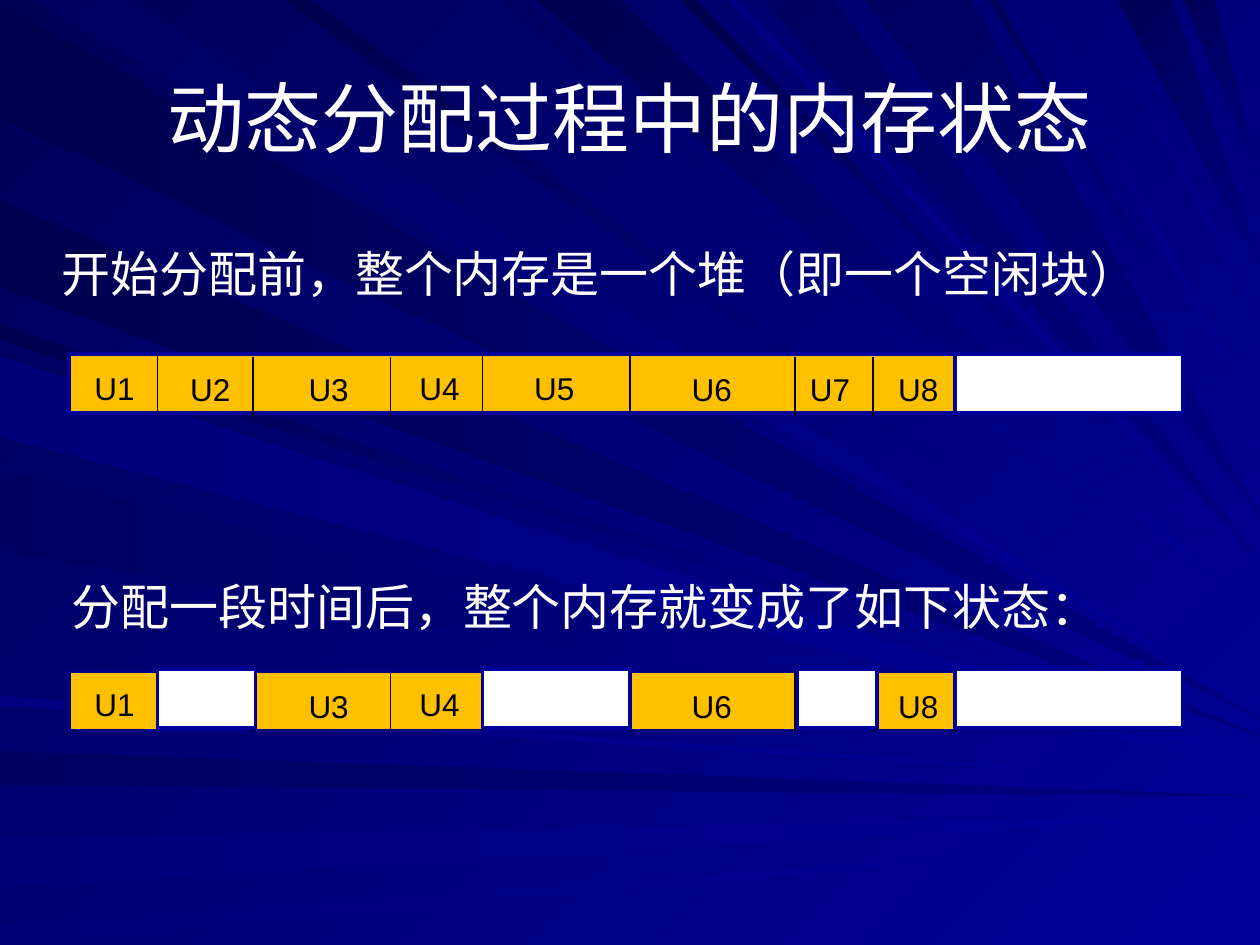
from pptx import Presentation
from pptx import util as u
from pptx.dml.color import RGBColor
from pptx.enum import shapes, text
from pptx.oxml import parse_xml
from pptx.oxml.ns import nsdecls

PX = 9144  # 100 px to the inch
WIDTH, HEIGHT = 1000, 750
FONT = "Arial"
HUE = {"dark": "000058", "blue": "000099", "navy": "000080", "used": "FFC000",
       "free": "FFFFFF", "ink": "000000", "white": "FFFFFF",
       "deep": "000050", "dim": "000060", "soft": "000078"}

# Content: title, then each memory bar with its heading
TITLE = "动态分配过程中的内存状态"
BARS = [
    dict(note="开始分配前，整个内存是一个堆（即一个空闲块）", at=(39, 188),
         top=281, edge="blue", drop=2, label=288, gap=281, freed=[]),
    dict(note="分配一段时间后，整个内存就变成了如下状态：", at=(47, 453),
         top=533, edge="navy", drop=1, label=539, gap=531,
         freed=[("U2", 125, 78), ("U5", 383, 117), ("U7", 633, 63)]),
]
LEFT, WIDE, HIGH = 55, 883, 47
TAIL = ("tail", 758, 181)
# Unit: name, label left, right edge, set lower
UNITS = [("U1", 65, 125, 0), ("U2", 141, 201, 1), ("U3", 235, 310, 1),
         ("U4", 323, 383, 0), ("U5", 414, 500, 0), ("U6", 539, 631, 1),
         ("U7", 633, 693, 1), ("U8", 703, 758, 1)]

# Background rays: start and end on the slide's edge, height of the tip at
# the right edge, first and last colour
LEFT_RAYS = [
    (2, 93, 570, "deep", "navy"), (596, 623, 632, "dim", "navy"),
    (665, 704, 647, "soft", "blue"), (735, 750, 662, "soft", "blue"),
    (258, 270, 589, "deep", "blue"), (159, 228, 584, "deep", "navy"),
    (278, 342, 602, "dim", "blue"), (374, 437, 606, "dim", "blue"),
    (552, 560, 622, "navy", "blue"), (283, 347, 604, "soft", "blue"),
]
TOP_RAYS = [
    (26, 101, 563, "dim", "blue"), (398, 416, 518, "dim", "blue"),
    (426, 492, 493, "deep", "blue"), (540, 552, 463, "deep", "blue"),
    (606, 661, 446, "dim", "navy"), (225, 247, 550, "deep", "blue"),
    (577, 588, 454, "navy", "blue"), (686, 770, 410, "dim", "navy"),
    (785, 792, 357, "dark", "blue"), (815, 824, 336, "soft", "blue"),
    (865, 872, 254, "soft", "blue"), (887, 930, 210, "dark", "navy"),
    (939, 964, 140, "dark", "navy"),
]


def rgb(hue):
    return RGBColor.from_string(HUE[hue])


def box(*dims):
    return [n * PX for n in dims]


def shade(fill, start, end, angle):
    fill.gradient()
    fill.gradient_angle = 360 - angle
    for stop, hue in zip(fill.gradient_stops, (start, end)):
        stop.color.rgb = rgb(hue)


def write(frame, words, size, hue, align=text.PP_ALIGN.LEFT):
    frame.text = words
    para = frame.paragraphs[0]
    para.alignment = align
    font = para.runs[0].font
    font.size, font.name = u.Pt(size), FONT
    font.color.rgb = rgb(hue)


def add_text(slide, dims, words, size, hue, wrap):
    frame = slide.shapes.add_textbox(*box(*dims)).text_frame
    frame.word_wrap = wrap
    frame.auto_size = text.MSO_AUTO_SIZE.SHAPE_TO_FIT_TEXT
    write(frame, words, size, hue)


def add_block(slide, left, top, width, hue, edge):
    block = slide.shapes.add_shape(shapes.MSO_SHAPE.RECTANGLE, *box(left, top, width, HIGH))
    block.shadow.inherit = False
    block.fill.solid()
    block.fill.fore_color.rgb = rgb(hue)
    block.line.color.rgb = rgb(edge)
    block.line.width = u.Pt(2)


def add_rule(slide, x, top):
    rule = slide.shapes.add_connector(
        shapes.MSO_CONNECTOR.STRAIGHT, *box(x, top, x, top + HIGH))
    rule.line.color.rgb = rgb("ink")
    rule.line.width = u.Pt(1)
    rule.element.spPr.append(parse_xml(f"<a:effectLst {nsdecls('a')}/>"))


def add_rays(slide):
    group = slide.shapes.add_group_shape()
    for rays, dx, dy, angle in ((LEFT_RAYS, 0, 1, 0), (TOP_RAYS, 1, 0, 45)):
        for near, far, tip, start, end in rays:
            pen = group.shapes.build_freeform(near * dx, near * dy, scale=PX)
            pen.add_line_segments([(far * dx, far * dy), (WIDTH, tip)], close=True)
            ray = pen.convert_to_shape()
            ray.shadow.inherit = False
            ray.line.fill.background()
            shade(ray.fill, start, end, angle)
    return group


def add_bar(slide, bar):
    add_text(slide, (*bar["at"], 922, 57), bar["note"], 28, "white", True)
    add_block(slide, LEFT, bar["top"], WIDE, "used", bar["edge"])
    gone = [name for name, *_ in bar["freed"]]
    for name, left, right, low in UNITS:
        add_rule(slide, right, bar["top"] + low * bar["drop"])
        if name not in gone:
            add_text(slide, (left, bar["label"] + low, 52, 40), name, 18, "ink", False)
    for _, left, width in [TAIL, *bar["freed"]]:
        add_block(slide, left, bar["gap"], width, "free", "blue")


def main():
    deck = Presentation()
    deck.slide_width, deck.slide_height = box(WIDTH, HEIGHT)
    slide = deck.slides.add_slide(deck.slide_layouts[5])

    # Backdrop, behind the title
    shade(slide.background.fill, "dark", "blue", 45)
    title = slide.shapes.title
    title.element.addprevious(add_rays(slide).element)

    # Title
    title.left, title.top, title.width, title.height = box(50, 30, 900, 125)
    title.text_frame.vertical_anchor = text.MSO_ANCHOR.MIDDLE
    write(title.text_frame, TITLE, 44, "white", text.PP_ALIGN.CENTER)

    # Memory bars
    for bar in BARS:
        add_bar(slide, bar)
    deck.save("out.pptx")


if __name__ == "__main__":
    main()
